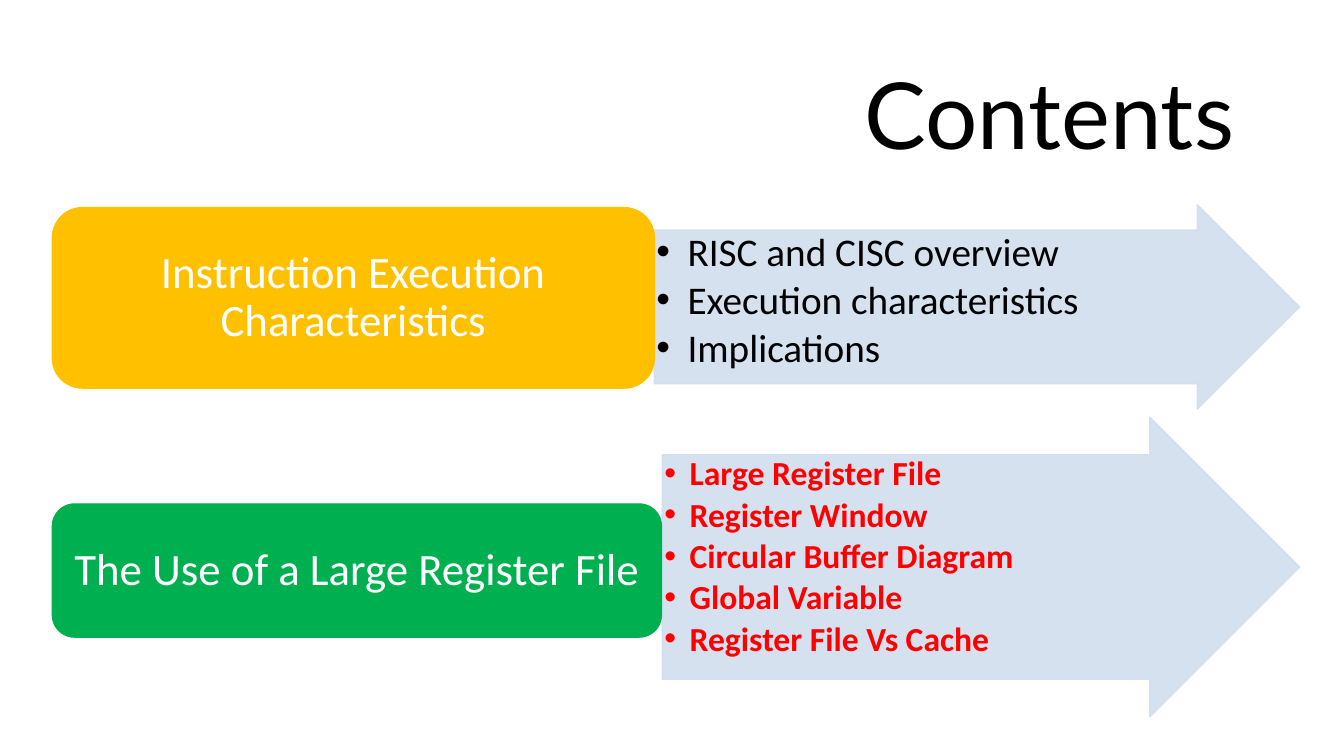
"""Build the contents slide: topic boxes, each with an arrow listing its points."""
from dataclasses import dataclass

from lxml import etree
from pptx import Presentation
from pptx import util as u
from pptx.dml.color import RGBColor
from pptx.enum import shapes, text
from pptx.oxml.ns import qn

ARROW_COLOUR = "D2DEEF"
Box = tuple[float, float, float, float]


@dataclass
class Topic:
    name: str
    colour: str
    box: Box
    arrow: Box
    points: list[str]
    point_format: dict
    point_colour: str
    indent: float


TOPICS = [
    Topic("Instruction Execution Characteristics", "FFC000",
          (0.52, 2.06, 5.97, 1.79), (6.49, 2.03, 6.4, 2.03),
          ["RISC and CISC overview", "Execution characteristics", "Implications"],
          {"size": u.Pt(28), "name": "Calibri", "bold": False}, "000000", 0.31),
    Topic("The Use of a Large Register File", "00B050",
          (0.52, 5, 6.04, 1.32), (6.57, 4.14, 6.32, 2.97),
          ["Large Register File", "Register Window", "Circular Buffer Diagram",
           "Global Variable", "Register File Vs Cache"],
          {"size": u.Pt(24), "name": "Calibri", "bold": True}, "FF0000", 0.25),
]


def apply(target, values: dict) -> None:
    for name, value in values.items():
        setattr(target, name, value)


def paint(colour_format, colour: str) -> None:
    colour_format.rgb = RGBColor.from_string(colour)


def place(shape, box: Box) -> None:
    apply(shape, dict(zip(("left", "top", "width", "height"), map(u.Inches, box))))


def add_block(slide, kind, box: Box, colour: str, margins: tuple[float, float], anchor):
    shape = slide.shapes.add_shape(kind, *map(u.Inches, box))
    shape.shadow.inherit = False
    shape.fill.solid()
    paint(shape.fill.fore_color, colour)
    shape.line.fill.solid()
    paint(shape.line.color, colour)
    shape.line.width = u.Pt(1)
    side, end = map(u.Inches, margins)
    apply(shape.text_frame, {
        "margin_left": side, "margin_right": side, "margin_top": end,
        "margin_bottom": end, "word_wrap": True, "vertical_anchor": anchor})
    return shape


def write(paragraph, words: str, font: dict, colour: str, alignment, space_after: int) -> None:
    run = paragraph.add_run()
    run.text = words
    apply(run.font, font)
    paint(run.font.color, colour)
    apply(paragraph, {"alignment": alignment, "line_spacing": 0.9, "space_after": u.Pt(0)})
    spacing = paragraph._p.pPr.find(qn("a:spcAft"))
    spacing.clear()
    etree.SubElement(spacing, qn("a:spcPct"), val=str(space_after * 1000))


def add_bullet(paragraph, indent: float) -> None:
    paragraph.level = 1
    properties = paragraph._p.get_or_add_pPr()
    properties.set("marL", str(u.Inches(indent)))
    properties.set("indent", str(u.Inches(-indent)))
    etree.SubElement(properties, qn("a:buFont"), typeface="Arial")
    etree.SubElement(properties, qn("a:buChar"), char="•")


def add_topic(slide, topic: Topic) -> None:
    arrow = add_block(slide, shapes.MSO_SHAPE.RIGHT_ARROW, topic.arrow, ARROW_COLOUR,
                      (0.02, 0.02), text.MSO_ANCHOR.TOP)
    arrow.adjustments[0] = 0.75
    arrow.adjustments[1] = 0.5
    for colour in arrow._element.spPr.iter(qn("a:srgbClr")):
        etree.SubElement(colour, qn("a:alpha"), val="90000")
    frame = arrow.text_frame
    for number, point in enumerate(topic.points):
        paragraph = frame.add_paragraph() if number else frame.paragraphs[0]
        write(paragraph, point, topic.point_format, topic.point_colour,
              text.PP_ALIGN.LEFT, 15)
        add_bullet(paragraph, topic.indent)
    label = add_block(slide, shapes.MSO_SHAPE.ROUNDED_RECTANGLE, topic.box, topic.colour,
                      (0.13, 0.07), text.MSO_ANCHOR.MIDDLE)
    write(label.text_frame.paragraphs[0], topic.name,
          {"size": u.Pt(32), "name": "Calibri"}, "FFFFFF", text.PP_ALIGN.CENTER, 35)


def add_title(slide) -> None:
    title = slide.shapes.title
    place(title, (2.85, 0.52, 9.49, 1.21))
    apply(title.text_frame, {"text": "Contents", "word_wrap": True,
                             "auto_size": text.MSO_AUTO_SIZE.SHAPE_TO_FIT_TEXT,
                             "vertical_anchor": text.MSO_ANCHOR.TOP})
    paragraph = title.text_frame.paragraphs[0]
    paragraph.alignment = text.PP_ALIGN.RIGHT
    font = paragraph.runs[0].font
    apply(font, {"size": u.Pt(66), "name": "Lato"})
    paint(font.color, "000000")


def main() -> None:
    presentation = Presentation()
    apply(presentation, {"slide_width": u.Inches(13.33), "slide_height": u.Inches(7.5)})
    slide = presentation.slides.add_slide(presentation.slide_layouts[5])
    add_title(slide)
    for topic in TOPICS:
        add_topic(slide, topic)
    presentation.save("out.pptx")


if __name__ == "__main__":
    main()
